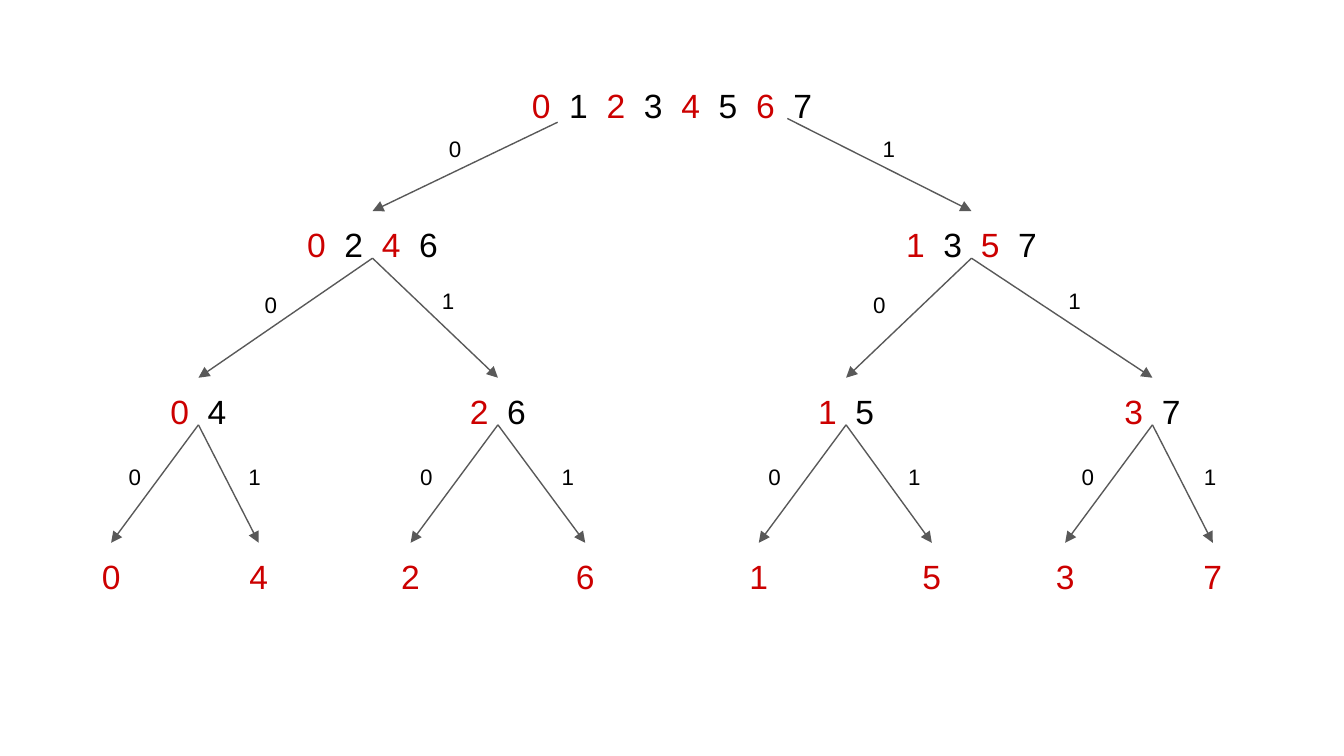
from dataclasses import dataclass
from typing import Any

from lxml import etree
from pptx import Presentation
from pptx import util as u
from pptx.dml.color import RGBColor
from pptx.enum import shapes, text
from pptx.oxml import ns

RED = RGBColor(0xCC, 0x00, 0x00)
BLACK = RGBColor(0x00, 0x00, 0x00)
GREY = RGBColor(0x59, 0x59, 0x59)

BOX_HEIGHT = 0.89
NODE_TOPS = [1.35, 3.99, 7.14, 10.26]
NODE_WIDTHS = [11.33, 11.33, 6.58, 3.28]
NODE_CENTRES = [
    [12.7],
    [7.04, 18.36],
    [3.75, 9.41, 15.99, 21.78],
    [2.1, 4.89, 7.76, 11.06, 14.34, 17.61, 20.13, 22.92],
]
ROOT_STARTS = [(10.54, 2.31), (14.88, 2.24)]
BIT_WIDTH = 1.4
BIT_TOPS = [(2.31, 2.31), (5.26, 5.18), (8.51, 8.51)]
BIT_CENTRES = [
    [8.6, 16.8],
    [5.12, 8.47, 16.62, 20.31],
    [2.55, 4.81, 8.06, 10.73, 14.64, 17.28, 20.56, 22.87],
]


@dataclass
class TreeSlide:
    slide: Any
    font: str = "Arial"
    node_size: int = 18
    bit_size: int = 12
    inset: float = 0.25

    def label(self, centre, top, width, pieces, size):
        box = self.slide.shapes.add_textbox(
            u.Cm(centre - width / 2), u.Cm(top), u.Cm(width), u.Cm(BOX_HEIGHT))
        frame = box.text_frame
        frame_format = {
            "word_wrap": True,
            "auto_size": text.MSO_AUTO_SIZE.NONE,
            "vertical_anchor": text.MSO_ANCHOR.TOP,
            "margin_left": u.Cm(self.inset),
            "margin_right": u.Cm(self.inset),
            "margin_top": u.Cm(self.inset),
            "margin_bottom": u.Cm(self.inset),
        }
        for name, value in frame_format.items():
            setattr(frame, name, value)
        line = frame.paragraphs[0]
        line.alignment = text.PP_ALIGN.CENTER
        for wording, colour in pieces:
            run = line.add_run()
            run.text = wording
            for name, value in {"name": self.font, "size": u.Pt(size)}.items():
                setattr(run.font, name, value)
            run.font.color.rgb = colour

    def node(self, centre, top, width, values):
        last = len(values) - 1
        pieces = [(f"{value}" + ("  " if i < last else ""), BLACK if i % 2 else RED)
                  for i, value in enumerate(values)]
        self.label(centre, top, width, pieces, self.node_size)

    def bit(self, centre, top, value):
        self.label(centre, top, BIT_WIDTH, [(str(value), BLACK)], self.bit_size)

    def arrow(self, start, end):
        branch = self.slide.shapes.add_connector(
            shapes.MSO_CONNECTOR.STRAIGHT, *map(u.Cm, start + end))
        branch.line.width = u.Pt(0.75)
        branch.line.color.rgb = GREY
        etree.SubElement(branch.line._get_or_add_ln(), ns.qn("a:tailEnd"), type="triangle")
        etree.SubElement(branch._element.spPr, ns.qn("a:effectLst"))


def main():
    deck = Presentation()
    deck.slide_width, deck.slide_height = u.Cm(25.4), u.Cm(14.29)
    tree = TreeSlide(deck.slides.add_slide(deck.slide_layouts[6]))

    groups = [list(range(8))]
    for level, centres in enumerate(NODE_CENTRES):
        for centre, values in zip(centres, groups):
            tree.node(centre, NODE_TOPS[level], NODE_WIDTHS[level], values)
        groups = [values[bit::2] for values in groups for bit in (0, 1)]

    for level, bit_centres in enumerate(BIT_CENTRES):
        for child, bit_centre in enumerate(bit_centres):
            parent, bit = divmod(child, 2)
            start = (NODE_CENTRES[level][parent], NODE_TOPS[level] + BOX_HEIGHT)
            if level == 0:
                start = ROOT_STARTS[bit]
            tree.arrow(start, (NODE_CENTRES[level + 1][child], NODE_TOPS[level + 1]))
            tree.bit(bit_centre, BIT_TOPS[level][bit], bit)

    deck.save("out.pptx")


if __name__ == "__main__":
    main()
